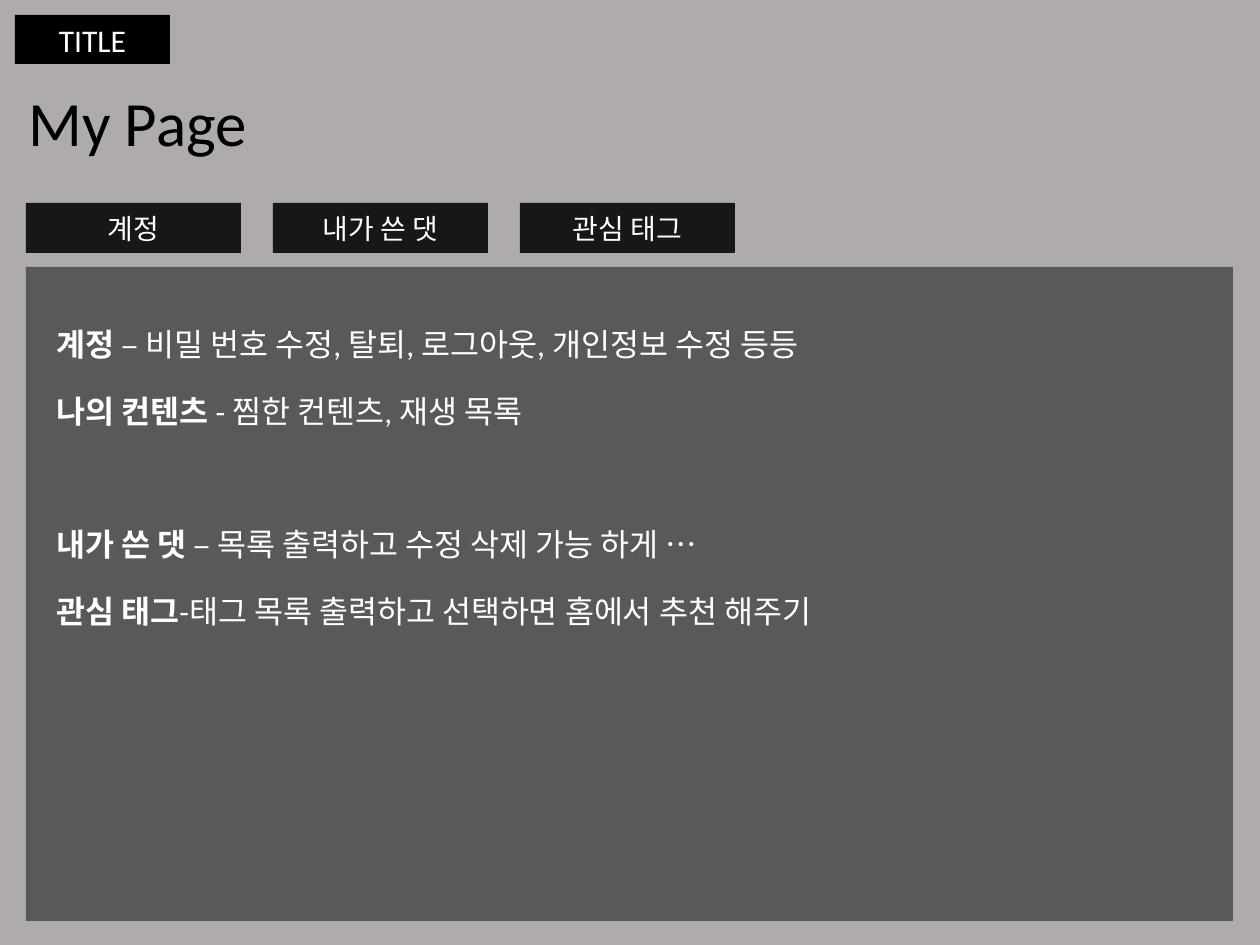
from pptx import Presentation
from pptx.dml.color import RGBColor
from pptx.enum.shapes import MSO_SHAPE
from pptx.enum.text import MSO_ANCHOR, PP_ALIGN
from pptx.util import Emu, Pt

EMU_PER_PIXEL = 914400 / 126


def px(length):
    return Emu(round(length * EMU_PER_PIXEL))


def color(code):
    return RGBColor.from_string(code)


class Page:
    font = "Calibri"
    white = "FFFFFF"

    def __init__(self, slide, background):
        self.slide = slide
        slide.background.fill.solid()
        slide.background.fill.fore_color.rgb = color(background)

    def style(self, run, size, ink, bold=False):
        run.font.name = self.font
        run.font.size = Pt(size)
        run.font.bold = bold
        run.font.color.rgb = color(ink)

    def panel(self, box, fill):
        panel = self.slide.shapes.add_shape(MSO_SHAPE.RECTANGLE, *map(px, box))
        panel.shadow.inherit = False
        panel.fill.solid()
        panel.fill.fore_color.rgb = color(fill)
        panel.line.fill.background()
        return panel

    def label(self, box, fill, text, size):
        frame = self.panel(box, fill).text_frame
        frame.vertical_anchor = MSO_ANCHOR.MIDDLE
        frame.text = text
        paragraph = frame.paragraphs[0]
        paragraph.alignment = PP_ALIGN.CENTER
        self.style(paragraph.runs[0], size, self.white)

    def text(self, box, parts, size, ink):
        frame = self.slide.shapes.add_textbox(*map(px, box)).text_frame
        frame.word_wrap = True
        for words, bold in parts:
            run = frame.paragraphs[0].add_run()
            run.text = words
            self.style(run, size, ink, bold)


presentation = Presentation()
presentation.slide_width = px(1260)
presentation.slide_height = px(945)
page = Page(presentation.slides.add_slide(presentation.slide_layouts[6]), "AFABAB")

page.panel((26, 267, 1207, 654), "595959")
page.text((16, 77, 281, 89), [("My Page", False)], 36, "000000")
page.label((15, 15, 155, 49), "000000", "TITLE", 18)

for column, tab in enumerate(["계정", "내가 쓴 댓", "관심 태그"]):
    page.label((26 + 247 * column, 203, 215, 50), "181717", tab, 16)

feature_groups = [
    (319, [
        ("계정 ", "– 비밀 번호 수정, 탈퇴, 로그아웃, 개인정보 수정 등등 ", 834),
        ("나의 컨텐츠 ", "- 찜한 컨텐츠, 재생 목록", 725),
    ]),
    (519, [
        ("내가 쓴 댓 ", "– 목록 출력하고 수정 삭제 가능 하게 …", 760),
        ("관심 태그", "-태그 목록 출력하고 선택하면 홈에서 추천 해주기", 879),
    ]),
]
for top, features in feature_groups:
    for row, (feature, description, width) in enumerate(features):
        page.text((44, top + 67 * row, width, 50),
                  [(feature, True), (description, False)], 18, page.white)

presentation.save("out.pptx")
